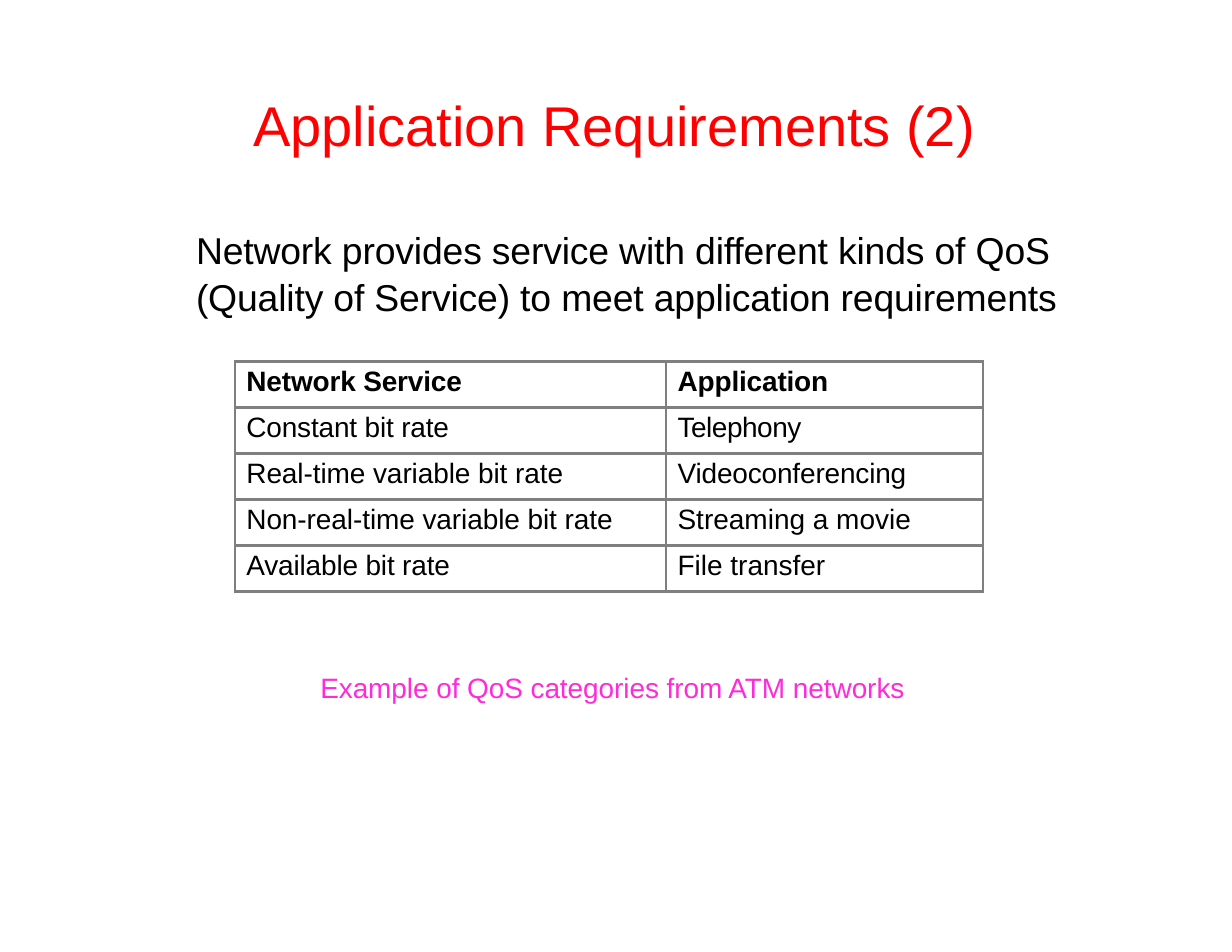
from lxml import etree
from pptx import Presentation
from pptx import util as u
from pptx.dml import color
from pptx.enum import text
from pptx.oxml import ns

HUES = {"title": "FF0000", "body": "000000", "note": "FF2BD8", "rule": "7F7F7F"}
FRAME = {
    "margin_left": 0, "margin_right": 0, "margin_top": u.Inches(0.01),
    "margin_bottom": 0, "word_wrap": True,
    "auto_size": text.MSO_AUTO_SIZE.NONE,
    "vertical_anchor": text.MSO_ANCHOR.TOP,
}
CELL = {
    "margin_left": u.Inches(0.1), "margin_right": 0,
    "margin_top": u.Inches(0.04), "margin_bottom": 0,
    "vertical_anchor": text.MSO_ANCHOR.TOP,
}
EDGES = {"lnL": 1.5, "lnR": 1.5, "lnT": 2.25, "lnB": 2.25}


def apply(item, values):
    for name, value in values.items():
        setattr(item, name, value)


class Deck:
    font = "Arial"

    def __init__(self, wide, high):
        self.show = Presentation()
        self.show.slide_width = u.Inches(wide)
        self.show.slide_height = u.Inches(high)
        self.slide = self.show.slides.add_slide(self.show.slide_layouts[5])

    def phrase(self, frame, words, size, hue, bold=False, track=0, lines=1.0):
        para = frame.paragraphs[0]
        apply(para, {"alignment": text.PP_ALIGN.LEFT, "line_spacing": lines})
        run = para.add_run()
        run.text = words
        apply(run.font, {"name": self.font, "size": u.Pt(size), "bold": bold})
        run.font.color.rgb = color.RGBColor.from_string(HUES[hue])
        if track:
            run.font._element.set("spc", str(track))

    def title(self, words, box, **look):
        shape = self.slide.shapes.title
        apply(shape, dict(zip(("left", "top", "width", "height"), map(u.Inches, box))))
        apply(shape.text_frame, FRAME)
        self.phrase(shape.text_frame, words, **look)

    def label(self, words, box, **look):
        shape = self.slide.shapes.add_textbox(*map(u.Inches, box))
        apply(shape.text_frame, FRAME)
        self.phrase(shape.text_frame, words, **look)

    def border(self, cell):
        props = cell._tc.get_or_add_tcPr()
        for edge, width in EDGES.items():
            line = etree.SubElement(props, ns.qn("a:" + edge), w=str(u.Pt(width)))
            fill = etree.SubElement(line, ns.qn("a:solidFill"))
            etree.SubElement(fill, ns.qn("a:srgbClr"), val=HUES["rule"])

    def table(self, rows, left, top, cols, high):
        box = (left, top, sum(cols), high * len(rows))
        grid = self.slide.shapes.add_table(
            len(rows), len(cols), *map(u.Inches, box)).table
        apply(grid, {"first_row": False, "horz_banding": False})
        for col, width in zip(grid.columns, cols):
            col.width = u.Inches(width)
        for r, row in enumerate(rows):
            grid.rows[r].height = u.Inches(high)
            for c, (words, track) in enumerate(row):
                cell = grid.cell(r, c)
                apply(cell, CELL)
                self.border(cell)
                cell.fill.background()
                self.phrase(cell.text_frame, words, 18, "body", r == 0, track)


def main():
    deck = Deck(11, 8.5)
    deck.title("Application Requirements (2)", (2.26, 0.8, 6.47, 0.63),
               size=36, hue="title")
    deck.label("Network provides service with different kinds of QoS "
               "(Quality of Service) to meet application requirements",
               (1.75, 2, 7.79, 0.83), size=24, hue="body", track=-10, lines=1.05)
    rows = [
        [("Network Service", -10), ("Application", -10)],
        [("Constant bit rate", -10), ("Telephony", -30)],
        [("Real-time variable bit rate", -5), ("Videoconferencing", -10)],
        [("Non-real-time variable bit rate", -5), ("Streaming a movie", 0)],
        [("Available bit rate", -10), ("File transfer", 0)],
    ]
    deck.table(rows, 2.1, 3.23, (3.85, 2.83), 0.41)
    deck.label("Example of QoS categories from ATM networks",
               (2.86, 5.98, 5.27, 0.33), size=18, hue="note", track=-5)
    deck.show.save("out.pptx")


if __name__ == "__main__":
    main()
